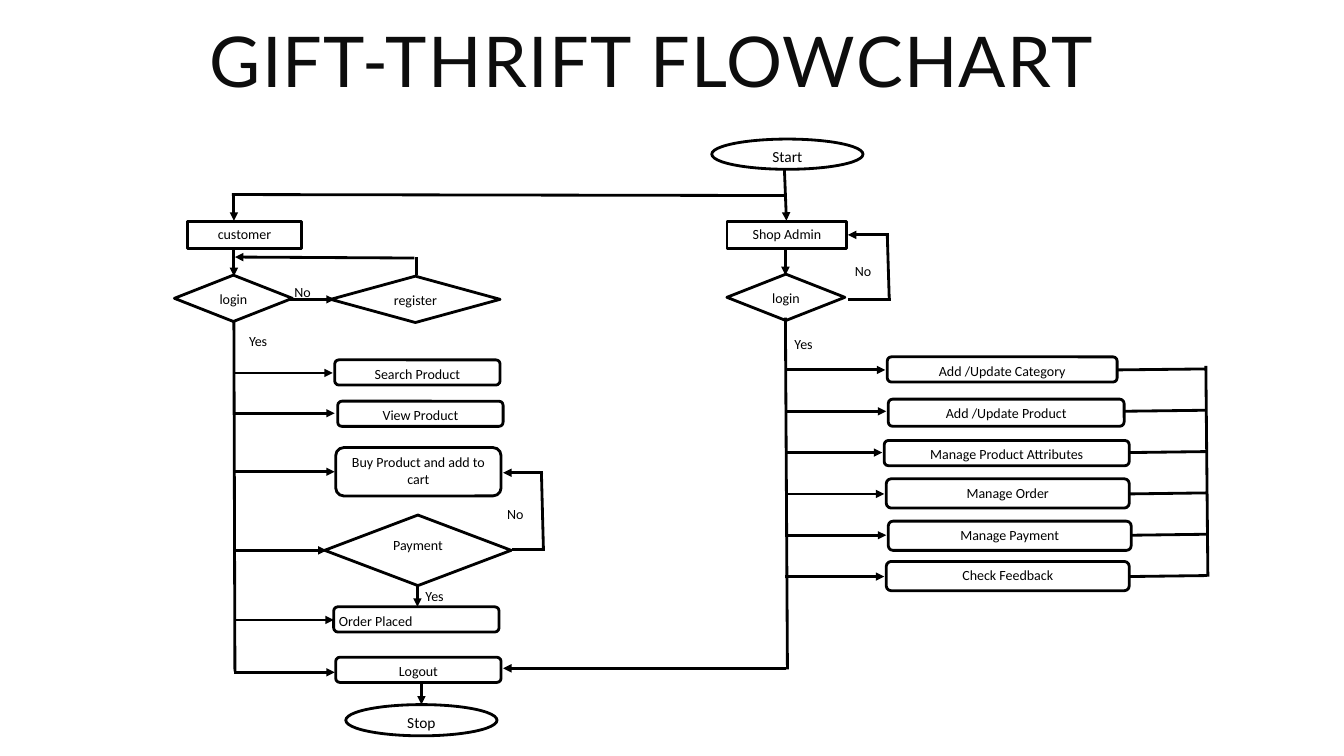
from pptx import Presentation
from pptx.dml.color import RGBColor
from pptx.enum.shapes import MSO_CONNECTOR, MSO_SHAPE
from pptx.enum.text import MSO_ANCHOR, PP_ALIGN
from pptx.oxml.ns import qn
from pptx.util import Inches, Pt
from lxml.etree import SubElement

INK = {"line": "000000", "text": "000000", "title": "0D0D0D", "back": "FFFFFF"}
OVAL, RECT = MSO_SHAPE.OVAL, MSO_SHAPE.RECTANGLE
ROUND, DIAMOND = MSO_SHAPE.ROUNDED_RECTANGLE, MSO_SHAPE.DIAMOND
LEFT, MID = PP_ALIGN.LEFT, PP_ALIGN.CENTER


def color(name):
    return RGBColor.from_string(INK[name])


def write(shape, text, size, align, font="Calibri", ink="text", inset=0.04):
    frame = shape.text_frame
    frame.word_wrap = True
    frame.vertical_anchor = MSO_ANCHOR.TOP
    frame.margin_left = frame.margin_right = Inches(inset)
    frame.margin_top = frame.margin_bottom = Inches(min(inset, 0.05))
    para = frame.paragraphs[0]
    para.alignment = align
    run = para.add_run()
    run.text = text
    run.font.size = Pt(size)
    run.font.name = font
    run.font.color.rgb = color(ink)
    return run


class Region:
    def __init__(self, slide, left, top):
        self.shapes, self.left, self.top = slide.shapes, left, top

    def place(self, x, y):
        return Inches(self.left + x), Inches(self.top + y)

    def node(self, kind, text, x, y, wide, high, size=10, align=MID):
        shape = self.shapes.add_shape(kind, *self.place(x, y), Inches(wide), Inches(high))
        shape.shadow.inherit = False
        shape.fill.background()
        shape.line.color.rgb = color("line")
        shape.line.width = Pt(2)
        write(shape, text, size, align)

    def label(self, text, x, y):
        box = self.shapes.add_textbox(*self.place(x, y), Inches(0.47), Inches(0.2))
        write(box, text, 10, LEFT)

    def line(self, x1, y1, x2, y2, arrow=False):
        link = self.shapes.add_connector(
            MSO_CONNECTOR.STRAIGHT, *self.place(x1, y1), *self.place(x2, y2))
        link.line.color.rgb = color("line")
        link.line.width = Pt(2)
        if arrow:
            SubElement(link.line._get_or_add_ln(), qn("a:tailEnd"), type="triangle")
        SubElement(link._element.spPr, qn("a:effectLst"))

    def arrow(self, x1, y1, x2, y2):
        self.line(x1, y1, x2, y2, True)

    def retry(self, start, end, right, top, high):
        self.line(start, top + high, right + 0.02, top + high)
        self.line(right - 0.02, top - 0.01, right, top + high)
        self.arrow(right, top, end, top)


def title(slide, left, top, wide, high):
    box = slide.shapes.add_textbox(Inches(left), Inches(top), Inches(wide), Inches(high))
    run = write(box, "GIFT-THRIFT FLOWCHART", 50, LEFT, "Lato", "title", 0.1)
    run._r.get_or_add_rPr().set("spc", "100")


def client(slide, left, top):
    area = Region(slide, left, top)
    spine = 0.62
    area.arrow(spine, 0.02, spine, 0.29)
    area.node(RECT, "customer", 0.16, 0.3, 1.13, 0.27)
    area.arrow(spine, 0.57, spine, 0.84)
    area.node(DIAMOND, "login", 0.03, 0.83, 1.17, 0.46)
    area.node(DIAMOND, "register", 1.58, 0.84, 1.68, 0.46)
    area.arrow(2.41, 0.66, 0.63, 0.65)
    area.line(2.43, 0.65, 2.43, 0.83)
    area.arrow(1.18, 1.07, 1.62, 1.07)
    area.label("No", 1.18, 0.87)
    area.label("Yes", 0.73, 1.36)
    area.line(spine, 1.29, 0.63, 4.76)
    steps = [
        (ROUND, "Search Product", 1.62, 1.67, 1.64, 0.25, MID, 1.8, 1.6),
        (ROUND, "View Product", 1.65, 2.08, 1.64, 0.25, MID, 2.2, 1.62),
        (ROUND, "Buy Product and add to cart", 1.63, 2.54, 1.64, 0.48, MID, 2.78, 1.62),
        (DIAMOND, "Payment", 1.52, 3.21, 1.85, 0.7, MID, 3.56, 1.54),
        (ROUND, "Order Placed", 1.61, 4.12, 1.64, 0.25, LEFT, 4.25, 1.61),
        (ROUND, "Logout", 1.63, 4.62, 1.64, 0.25, MID, 4.77, 1.62),
    ]
    for kind, text, x, y, wide, high, align, row, tip in steps:
        area.node(kind, text, x, y, wide, high, align=align)
        area.arrow(spine, row, tip, row)
    area.retry(3.38, 3.29, 3.69, 2.79, 0.76)
    area.label("No", 3.29, 3.07)
    area.arrow(2.44, 3.89, 2.44, 4.12)
    area.label("Yes", 2.48, 3.89)
    area.arrow(2.48, 4.86, 2.48, 5.09)
    area.node(OVAL, "Stop", 1.73, 5.09, 1.5, 0.31, 11)


def admin(slide, left, top):
    area = Region(slide, left, top)
    spine, rail = 0.79, 4.97
    area.node(OVAL, "Start", 0.06, 0.08, 1.5, 0.3, 11)
    area.arrow(0.78, 0.38, 0.8, 0.89)
    area.node(RECT, "Shop Admin", 0.21, 0.9, 1.19, 0.27)
    area.arrow(spine, 1.16, spine, 1.43)
    area.node(DIAMOND, "login", 0.21, 1.42, 1.17, 0.46)
    area.retry(1.41, 1.41, 1.82, 1.03, 0.64)
    area.label("No", 1.44, 1.26)
    area.label("Yes", 0.84, 1.99)
    area.line(spine, 1.85, 0.81, 5.34)
    tasks = [
        ("Add /Update Category", 1.8, 2.24, 2.28, 0.25),
        ("Add /Update Product", 1.81, 2.66, 2.34, 0.27),
        ("Manage Product Attributes", 1.77, 3.07, 2.43, 0.25),
        ("Manage Order", 1.79, 3.45, 2.41, 0.29),
        ("Manage Payment", 1.81, 3.87, 2.41, 0.29),
        ("Check Feedback", 1.79, 4.27, 2.41, 0.29),
    ]
    for i, (text, x, y, wide, high) in enumerate(tasks):
        row = 2.37 + 0.41 * i
        area.node(ROUND, text, x, y, wide, high)
        area.arrow(spine, row, x - 0.02, row)
        area.line(x + wide, row, rail, row - 0.01)
    area.line(rail - 0.01, 2.33, rail + 0.01, 4.42)


def bridge(slide, left, top, wide, high):
    area = Region(slide, left, top)
    area.line(0, 0, wide, 0.01)
    area.arrow(wide + 0.02, high, 2.69, high)


deck = Presentation()
deck.slide_width, deck.slide_height = Inches(13.33), Inches(7.5)
page = deck.slides.add_slide(deck.slide_layouts[6])
page.background.fill.solid()
page.background.fill.fore_color.rgb = color("back")
bridge(page, 2.3, 1.93, 5.48, 4.7)
client(page, 1.7, 1.9)
admin(page, 7, 1.3)
title(page, 1.98, 0.12, 10.5, 0.94)
deck.save("out.pptx")
